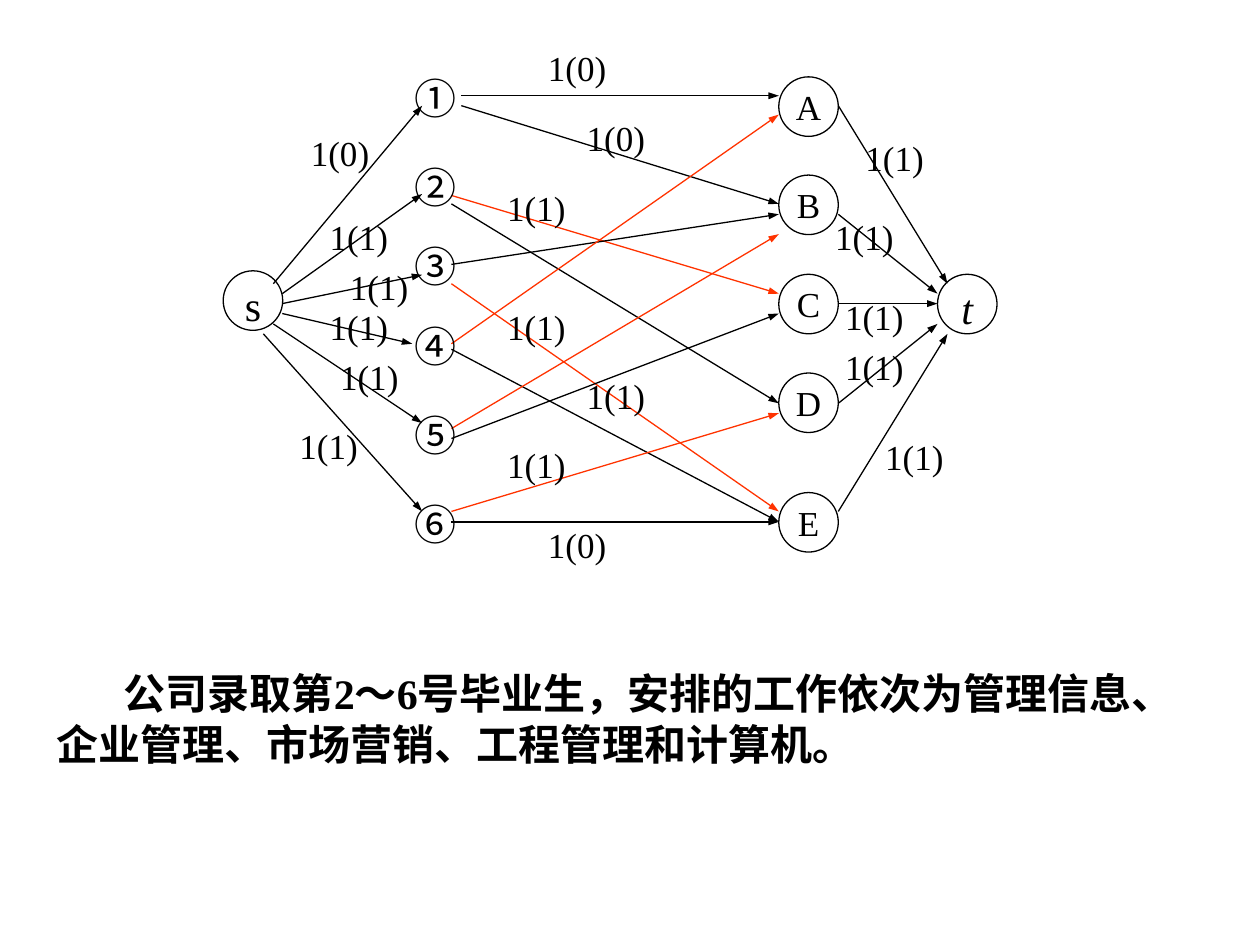
from typing import NamedTuple

from lxml import etree
from pptx import Presentation
from pptx.dml.color import RGBColor
from pptx.enum.shapes import MSO_CONNECTOR, MSO_SHAPE
from pptx.enum.text import MSO_ANCHOR, MSO_AUTO_SIZE, PP_ALIGN
from pptx.oxml.ns import qn
from pptx.util import Cm, Pt

BLACK = RGBColor(0x00, 0x00, 0x00)
RED = RGBColor(0xFF, 0x33, 0x00)
SERIF, CJK = "Times New Roman", "Noto Sans CJK SC"
STRAIGHT, OVAL = MSO_CONNECTOR.STRAIGHT, MSO_SHAPE.OVAL
TOP, MIDDLE = MSO_ANCHOR.TOP, MSO_ANCHOR.MIDDLE
GROW = MSO_AUTO_SIZE.SHAPE_TO_FIT_TEXT
CENTER, LEFT = PP_ALIGN.CENTER, PP_ALIGN.LEFT
LINE_WIDTH = Pt(0.75)

# Columns of the network, in cm
NODE_SIZE = 1.2
STUDENT_X, JOB_X = 8.1, 15.7
STUDENT_OUT, JOB_OUT = 9.1, 16.9


class Node(NamedTuple):
    text: str
    x: float
    y: float
    size: int = 20
    italic: bool = False


class Arrow(NamedTuple):
    x1: float
    y1: float
    x2: float
    y2: float
    color: RGBColor = BLACK


class Label(NamedTuple):
    x: float
    y: float
    text: str = "1(1)"


STUDENTS = zip("①②③④⑤⑥", (1.33, 3.13, 4.72, 6.33, 8.13, 9.92))
JOBS = zip("ABCDE", (1.55, 3.53, 5.53, 7.52, 9.93))
NODES = [Node(name, JOB_X, y) for name, y in JOBS] + [
    Node("s", 4.5, 5.46, 24),
    Node("t", 18.9, 5.53, 24, True),
]

# Students to jobs: start height, end height, colour
CHOICES = [
    (4.11, 8.13, BLACK), (3.94, 5.92, RED),
    (5.72, 10.31, RED), (5.33, 4.32, BLACK),
    (10.52, 10.52, BLACK), (6.93, 2.31, RED),
    (7.04, 10.52, BLACK), (8.64, 4.72, RED),
    (8.84, 6.32, BLACK), (10.31, 8.33, RED),
]
ARROWS = [
    Arrow(9.3, 1.93, JOB_X, 1.93),
    Arrow(9.3, 2.13, JOB_X, 4.11),
    *(Arrow(STUDENT_OUT, y1, JOB_X, y2, c) for y1, y2, c in CHOICES),
    # Source to students
    Arrow(5.51, 5.72, 8.51, 2.13),
    Arrow(5.69, 5.92, 8.51, 3.91),
    Arrow(5.69, 6.12, 8.51, 5.54),
    Arrow(5.69, 6.32, 8.31, 6.93),
    Arrow(5.51, 6.53, 8.51, 8.53),
    Arrow(5.31, 6.73, 8.51, 10.31),
    # Jobs to sink
    Arrow(JOB_OUT, 2.13, 19.1, 5.72),
    Arrow(JOB_OUT, 4.32, 18.9, 5.92),
    Arrow(JOB_OUT, 6.12, 18.9, 6.12),
    Arrow(JOB_OUT, 8.13, 18.9, 6.53),
    Arrow(JOB_OUT, 10.31, 19.1, 6.73),
]
LABELS = [
    # Source side
    Label(6.12, 2.62, "1(0)"), Label(6.5, 4.32), Label(6.91, 5.33),
    Label(6.5, 6.12), Label(6.71, 7.14), Label(5.89, 8.53),
    # Between students and jobs
    Label(10.08, 3.73), Label(10.08, 6.12), Label(11.68, 7.52),
    Label(10.08, 8.92), Label(10.9, 0.91, "1(0)"),
    Label(11.68, 2.31, "1(0)"), Label(10.9, 10.52, "1(0)"),
    # Sink side
    Label(17.3, 2.72), Label(16.69, 4.32), Label(16.89, 5.92),
    Label(16.89, 6.93), Label(17.7, 8.74),
]
ANSWER = ("公司录取第2～6号毕业生，安排的工作依次为管理信息、"
          "企业管理、市场营销、工程管理和计算机。")


def write(sp, text: str, inset: tuple, font: dict, align=CENTER, **frame):
    """Put one formatted paragraph into a shape and return it."""
    tf = sp.text_frame
    dx, dy = (Cm(v) for v in inset)
    margins = dict(margin_left=dx, margin_right=dx, margin_top=dy, margin_bottom=dy)
    for key, value in {**margins, **frame}.items():
        setattr(tf, key, value)
    p = tf.paragraphs[0]
    p.alignment = align
    r = p.add_run()
    r.text = text
    r.font.color.rgb = BLACK
    for key, value in {"name": SERIF, **font}.items():
        setattr(r.font, key, value)
    ea = etree.SubElement(r.font._element, qn("a:ea"))
    ea.set("typeface", CJK)
    return p


def add_text(s, box: tuple, text: str, inset: tuple, font: dict, align=CENTER,
             wrap: bool = False, anchor=TOP):
    sp = s.shapes.add_textbox(*(Cm(v) for v in box))
    return write(sp, text, inset, font, align, word_wrap=wrap,
                 vertical_anchor=anchor, auto_size=GROW)


def add_node(s, node: Node) -> None:
    sp = s.shapes.add_shape(OVAL, Cm(node.x), Cm(node.y), Cm(NODE_SIZE), Cm(NODE_SIZE))
    sp.shadow.inherit = False
    sp.fill.background()
    sp.line.color.rgb = BLACK
    sp.line.width = LINE_WIDTH
    write(sp, node.text, (0.05, 0), {"size": Pt(node.size), "italic": node.italic},
          vertical_anchor=TOP)


def add_arrow(s, arrow: Arrow) -> None:
    c = s.shapes.add_connector(STRAIGHT, *(Cm(v) for v in arrow[:4]))
    c.line.color.rgb = arrow.color
    c.line.width = LINE_WIDTH
    tail = etree.SubElement(c.line._get_or_add_ln(), qn("a:tailEnd"))
    for key, value in {"type": "triangle", "w": "sm", "len": "med"}.items():
        tail.set(key, value)
    etree.SubElement(c._element.spPr, qn("a:effectLst"))


def main() -> None:
    prs = Presentation()
    prs.slide_width, prs.slide_height = Cm(25.4), Cm(19.05)
    s = prs.slides.add_slide(prs.slide_layouts[6])

    # Network
    for arrow in ARROWS:
        add_arrow(s, arrow)
    for number, y in STUDENTS:
        add_text(s, (STUDENT_X, y, 1.35, 1.27), number, (0.25, 0.13),
                 {"size": Pt(24), "name": CJK})
    for node in NODES:
        add_node(s, node)

    # Capacity and flow of each arc
    for label in LABELS:
        add_text(s, (label.x, label.y, 1.47, 0.91), label.text, (0.05, 0.03),
                 {"size": Pt(20)})

    # Answer: indented first line, punctuation kept inside the margin
    p = add_text(s, (0.89, 13.33, 23.6, 2.29), ANSWER, (0.25, 0.13),
                 {"size": Pt(24), "bold": True}, LEFT, True, MIDDLE)
    for key, value in {"indent": str(Cm(1.36)), "hangingPunct": "0"}.items():
        p._p.get_or_add_pPr().set(key, value)

    prs.save("out.pptx")


if __name__ == "__main__":
    main()
